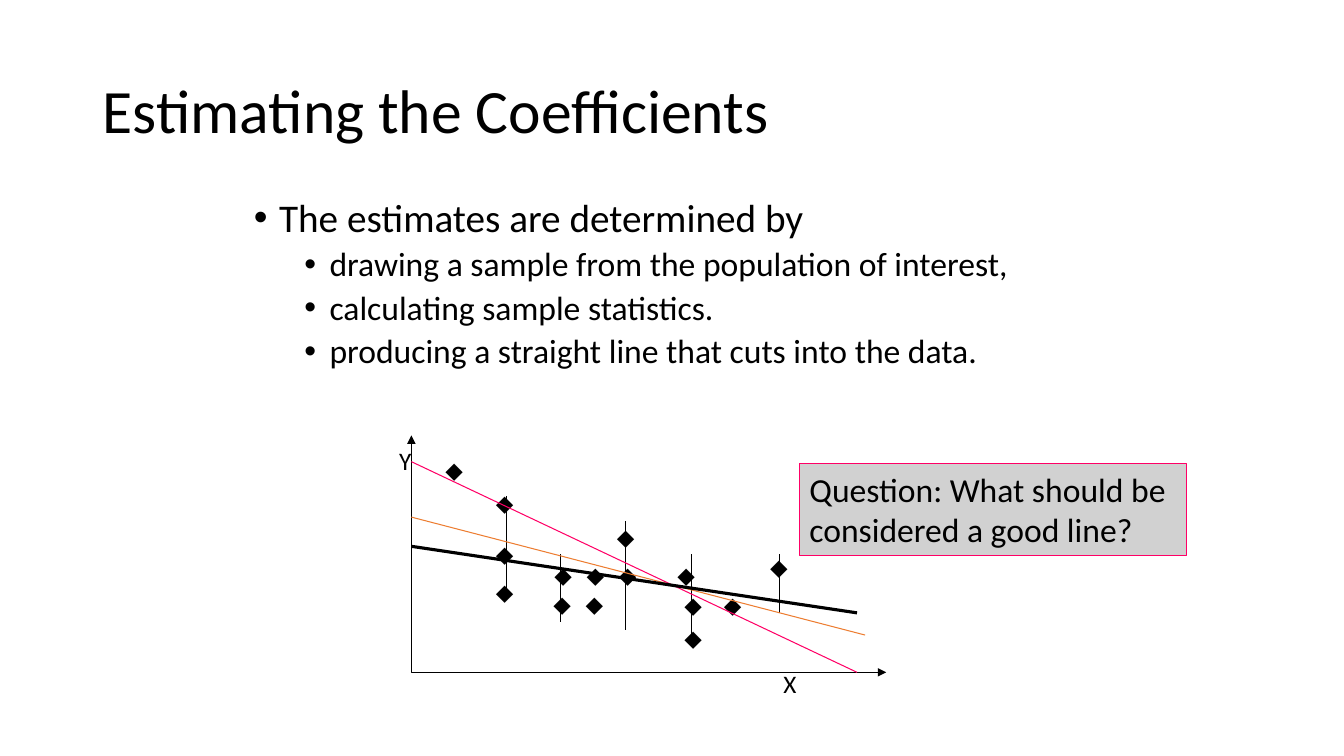
from lxml.etree import SubElement
from pptx import Presentation
from pptx.dml.color import RGBColor
from pptx.enum.shapes import MSO_CONNECTOR, MSO_SHAPE
from pptx.enum.text import MSO_ANCHOR, PP_ALIGN
from pptx.oxml.ns import qn
from pptx.util import Inches, Pt

COLORS = {"ink": "000000", "orange": "ED7D31", "pink": "FF0066", "panel": "D1D1D1"}


def write(paragraph, text, size=18, font="Calibri", color="ink", spacing=1.0,
          before=0, bullet_indent=None):
    paragraph.text = text
    paragraph.alignment = PP_ALIGN.LEFT
    paragraph.line_spacing = spacing
    paragraph.space_before = Pt(before)
    for run in paragraph.runs:
        run.font.size = Pt(size)
        run.font.name = font
        run.font.color.rgb = RGBColor.from_string(COLORS[color])
    if bullet_indent is not None:
        properties = paragraph._p.get_or_add_pPr()
        properties.set("marL", str(Inches(bullet_indent)))
        properties.set("indent", str(Inches(-0.25)))
        SubElement(properties, qn("a:buFont"), typeface="Arial")
        SubElement(properties, qn("a:buChar"), char="•")


def draw_line(start, end, color="ink", width=0.75):
    line = slide.shapes.add_connector(
        MSO_CONNECTOR.STRAIGHT, *[Inches(value) for value in (*start, *end)])
    line.line.color.rgb = RGBColor.from_string(COLORS[color])
    line.line.width = Pt(width)
    SubElement(line._element.spPr, qn("a:effectLst"))


prs = Presentation()
prs.slide_width, prs.slide_height = Inches(13.33), Inches(7.5)
slide = prs.slides.add_slide(prs.slide_layouts[5])

# Title
title = slide.shapes.title
title.left, title.top = Inches(0.92), Inches(0.4)
title.width, title.height = Inches(11.5), Inches(1.45)
title.text_frame.vertical_anchor = MSO_ANCHOR.MIDDLE
write(title.text_frame.paragraphs[0], "Estimating the Coefficients", size=44, spacing=0.9)

# Bulleted steps
steps = slide.shapes.add_textbox(Inches(2.42), Inches(1.92), Inches(8.5), Inches(2.33)).text_frame
steps.word_wrap = True
write(steps.paragraphs[0], "The estimates are determined by",
      size=28, spacing=0.9, before=10, bullet_indent=0.25)
for step in ("drawing a sample from the population of interest,",
             "calculating sample statistics.",
             "producing a straight line that cuts into the data."):
    paragraph = steps.add_paragraph()
    paragraph.level = 1
    write(paragraph, step, size=24, spacing=0.9, before=5, bullet_indent=0.75)

# Axes
outline = slide.shapes.build_freeform(Inches(4.08), Inches(4.32))
outline.add_line_segments([(Inches(4.08), Inches(6.67)), (Inches(8.79), Inches(6.67))], close=False)
axes = outline.convert_to_shape()
axes.shadow.inherit = False
axes.fill.background()
axes.line.color.rgb = RGBColor.from_string(COLORS["ink"])
axes.line.width = Pt(0.75)
for arrow_end in ("a:headEnd", "a:tailEnd"):
    SubElement(axes.line._get_or_add_ln(), qn(arrow_end), type="triangle")

# Data points and axis labels: symbol, font, left, top
points = [(4.32, 4.46), (4.82, 4.79), (4.82, 5.29), (4.82, 5.67),
          (5.4, 5.5), (5.72, 5.5), (6.04, 5.5), (6.62, 5.5), (6.02, 5.12),
          (6.69, 5.8), (7.08, 5.8), (7.54, 5.42),
          (5.39, 5.79), (5.71, 5.79), (6.69, 6.12)]
marks = [("⬥", "Arial", *point) for point in points]
marks += [("X", "Calibri", 7.67, 6.58), ("Y", "Calibri", 3.86, 4.37)]
for symbol, font, left, top in marks:
    mark = slide.shapes.add_textbox(Inches(left), Inches(top), Inches(0.35), Inches(0.4))
    mark.text_frame.word_wrap = False
    write(mark.text_frame.paragraphs[0], symbol, font=font)

# Vertical deviations
for x, top, bottom in [(5.02, 4.92, 5.92), (5.56, 5.5, 6.17), (6.2, 5.17, 6.25),
                       (6.86, 5.5, 6.42), (7.73, 5.5, 6.08)]:
    draw_line((x, top), (x, bottom))

# Candidate lines
draw_line((4.08, 5.13), (8.58, 6.3), color="orange")
draw_line((4.08, 4.58), (8.5, 6.67), color="pink")
draw_line((4.08, 5.42), (8.5, 6.08), width=2.25)

# Question panel
question = slide.shapes.add_shape(
    MSO_SHAPE.RECTANGLE, Inches(7.93), Inches(4.6), Inches(3.84), Inches(0.91))
question.shadow.inherit = False
question.fill.solid()
question.fill.fore_color.rgb = RGBColor.from_string(COLORS["panel"])
question.line.color.rgb = RGBColor.from_string(COLORS["pink"])
question.line.width = Pt(0.75)
question.text_frame.word_wrap = False
question.text_frame.vertical_anchor = MSO_ANCHOR.TOP
for index, text in enumerate(("Question: What should be", "considered a good line?")):
    if index:
        question.text_frame.add_paragraph()
    write(question.text_frame.paragraphs[index], text, size=24)

prs.save("out.pptx")
